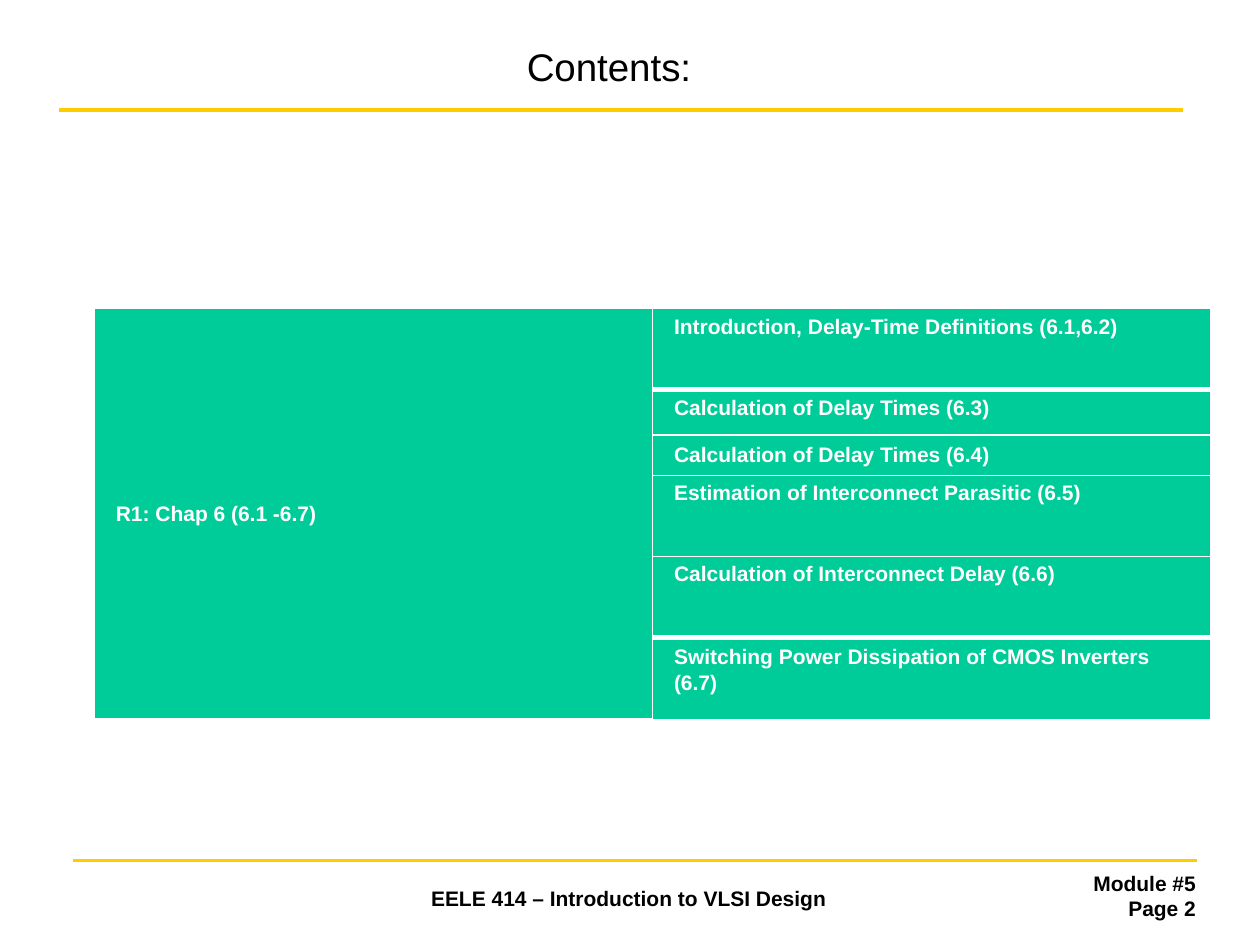
from dataclasses import dataclass

from lxml import etree
from pptx import Presentation
from pptx.dml.color import RGBColor
from pptx.enum.shapes import MSO_CONNECTOR
from pptx.enum.text import MSO_ANCHOR, PP_ALIGN
from pptx.oxml.ns import qn
from pptx.util import Pt

LEFT, CENTER, RIGHT = PP_ALIGN.LEFT, PP_ALIGN.CENTER, PP_ALIGN.RIGHT
TOP, MIDDLE = MSO_ANCHOR.TOP, MSO_ANCHOR.MIDDLE
STRAIGHT = MSO_CONNECTOR.STRAIGHT

BLACK, WHITE, GOLD, GREEN = "000000", "FFFFFF", "FFCC00", "00CC99"
THIN, THICK = 0.96, 3
TITLE_FORMAT = {"name": "Arial", "size": Pt(22), "bold": False}
TEXT_FORMAT = {"name": "Arial", "size": Pt(12), "bold": True}


@dataclass
class Label:
    text: str
    left: float
    top: float
    width: float
    height: float
    align: PP_ALIGN


@dataclass
class Rule:
    left: float
    right: float
    y: float


@dataclass
class Topic:
    text: str
    height: float
    line_spacing: float | None = None
    top_border: float = THIN
    bottom_border: float = THIN


LABELS = [
    Label("Module #5\vPage 2", 578.2, 494, 112.3, 36, RIGHT),
    Label("EELE 414 – Introduction to VLSI Design", 193, 502.6, 332.6, 23, CENTER),
]
RULES = [Rule(33.9, 676, 62.8), Rule(41.9, 684, 491.8)]
CHAPTER = "R1: Chap 6 (6.1 -6.7)"
TOPICS = [
    Topic("Introduction, Delay-Time Definitions (6.1,6.2)", 46.3, bottom_border=THICK),
    Topic("Calculation of Delay Times (6.3)", 26, top_border=THICK),
    Topic("Calculation of Delay Times (6.4)", 23, 14.5),
    Topic("Estimation of Interconnect Parasitic (6.5)", 46.3),
    Topic("Calculation of Interconnect Delay (6.6)", 46.3, bottom_border=THICK),
    Topic("Switching Power Dissipation of CMOS Inverters (6.7)", 47.3, 14.5,
          top_border=THICK),
]


def color(value: str) -> RGBColor:
    return RGBColor.from_string(value)


def write(text_frame, text: str, formats: dict, font_color: str, align=LEFT):
    """Put one formatted paragraph into a text frame and return it."""
    paragraph = text_frame.paragraphs[0]
    paragraph.text = text
    paragraph.alignment = align
    for run in paragraph.runs:
        for name, value in formats.items():
            setattr(run.font, name, value)
        run.font.color.rgb = color(font_color)
    return paragraph


def draw_label(slide, label: Label) -> None:
    box = slide.shapes.add_textbox(
        Pt(label.left), Pt(label.top), Pt(label.width), Pt(label.height))
    box.text_frame.word_wrap = True
    write(box.text_frame, label.text, TEXT_FORMAT, BLACK, label.align)


def draw_rule(slide, rule: Rule) -> None:
    connector = slide.shapes.add_connector(
        STRAIGHT, Pt(rule.left), Pt(rule.y), Pt(rule.right), Pt(rule.y))
    connector.line.color.rgb = color(GOLD)
    connector.line.width = Pt(2)
    etree.SubElement(connector._element.spPr, qn("a:effectLst"))


def set_borders(cell, top: float, bottom: float) -> None:
    """Add white borders, which must come before the fill."""
    properties = cell._tc.get_or_add_tcPr()
    widths = {"a:lnL": THIN, "a:lnR": THIN, "a:lnT": top, "a:lnB": bottom}
    for index, (tag, width) in enumerate(widths.items()):
        line = etree.Element(qn(tag), w=str(int(Pt(width))))
        fill = etree.SubElement(line, qn("a:solidFill"))
        etree.SubElement(fill, qn("a:srgbClr"), val=WHITE)
        properties.insert(index, line)


def fill_cell(cell, text: str, anchor=TOP, line_spacing: float | None = None) -> None:
    cell.fill.solid()
    cell.fill.fore_color.rgb = color(GREEN)
    cell.vertical_anchor = anchor
    paragraph = write(cell.text_frame, text, TEXT_FORMAT, WHITE)
    paragraph._p.get_or_add_pPr().set("marL", str(int(Pt(5))))
    if line_spacing:
        paragraph.line_spacing = Pt(line_spacing)


def draw_table(slide) -> None:
    height = sum(topic.height for topic in TOPICS)
    table = slide.shapes.add_table(
        len(TOPICS), 2, Pt(54), Pt(176.4), Pt(638), Pt(height)).table
    table.first_row = table.horz_banding = False

    # Topics on the right, one in each row
    for index, topic in enumerate(TOPICS):
        table.rows[index].height = Pt(topic.height)
        cell = table.cell(index, 1)
        fill_cell(cell, topic.text, line_spacing=topic.line_spacing)
        set_borders(cell, topic.top_border, topic.bottom_border)

    # Chapter on the left, across all rows
    chapter = table.cell(0, 0)
    chapter.merge(table.cell(len(TOPICS) - 1, 0))
    fill_cell(chapter, CHAPTER, MIDDLE)
    set_borders(chapter, THIN, THICK)


def main() -> None:
    presentation = Presentation()
    presentation.slide_width, presentation.slide_height = Pt(720), Pt(540)
    slide = presentation.slides.add_slide(presentation.slide_layouts[5])

    # Footer texts and rules
    for label in LABELS:
        draw_label(slide, label)
    for rule in RULES:
        draw_rule(slide, rule)

    # Title
    title = slide.shapes.title
    title.left, title.top, title.width, title.height = Pt(42), Pt(18), Pt(612), Pt(40)
    title.text_frame.vertical_anchor = MIDDLE
    write(title.text_frame, "Contents:", TITLE_FORMAT, BLACK, CENTER)

    draw_table(slide)
    presentation.save("out.pptx")


if __name__ == "__main__":
    main()
